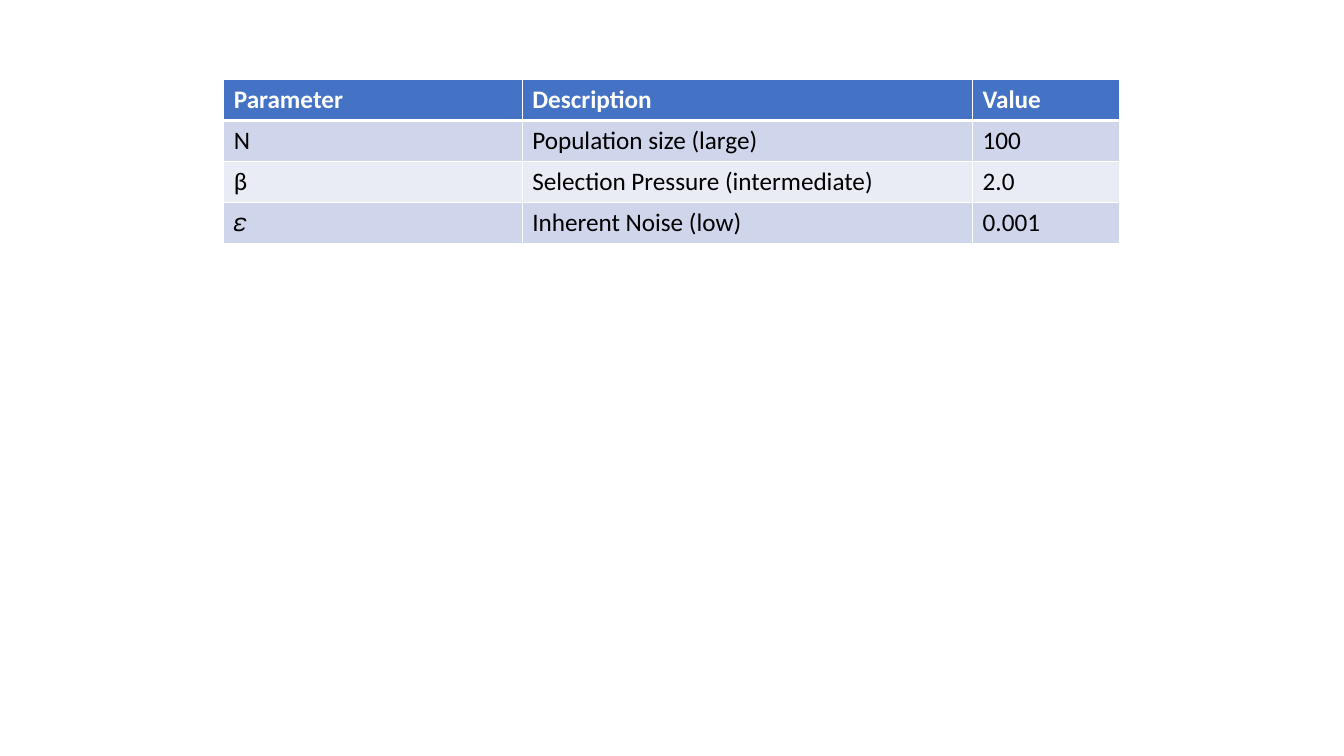
from lxml import etree
from pptx import Presentation
from pptx import util as u
from pptx.dml.color import RGBColor
from pptx.oxml.ns import qn

COLORS = {
    "header": "4472C4",
    "odd_row": "CFD5EA",
    "even_row": "E9EBF5",
    "border": "FFFFFF",
    "header_text": "FFFFFF",
    "body_text": "000000",
}
FONT = "Calibri"
COLUMN_WIDTHS = [7.52, 11.35, 3.71]
ROW_HEIGHT = 1.03
ROWS = [
    ["Parameter", "Description", "Value"],
    ["N", "Population size (large)", "100"],
    ["β", "Selection Pressure (intermediate)", "2.0"],
    ["\U0001D700", "Inherent Noise (low)", "0.001"],
]


def set_borders(cell, widths):
    properties = cell._tc.get_or_add_tcPr()
    for side, width in widths.items():
        line = etree.SubElement(properties, qn(f"a:ln{side}"), w=str(u.Pt(width)))
        fill = etree.SubElement(line, qn("a:solidFill"))
        etree.SubElement(fill, qn("a:srgbClr"), val=COLORS["border"])


def format_cell(cell, words, fill, color, bold):
    cell.fill.solid()
    cell.fill.fore_color.rgb = RGBColor.from_string(COLORS[fill])
    cell.text_frame.text = words
    font = cell.text_frame.paragraphs[0].runs[0].font
    font.name = FONT
    font.size = u.Pt(18)
    font.bold = bold
    font.color.rgb = RGBColor.from_string(COLORS[color])


def add_parameter_table(slide, left, top):
    frame = slide.shapes.add_table(
        len(ROWS), len(COLUMN_WIDTHS), u.Cm(left), u.Cm(top),
        u.Cm(sum(COLUMN_WIDTHS)), u.Cm(ROW_HEIGHT * len(ROWS)),
    )
    table = frame.table
    for column, width in zip(table.columns, COLUMN_WIDTHS):
        column.width = u.Cm(width)
    for index, row in enumerate(table.rows):
        row.height = u.Cm(ROW_HEIGHT)
        header = index == 0
        fill = "header" if header else "odd_row" if index % 2 else "even_row"
        color = "header_text" if header else "body_text"
        widths = {"L": 1, "R": 1, "T": 3 if index == 1 else 1, "B": 3 if header else 1}
        for cell, words in zip(row.cells, ROWS[index]):
            set_borders(cell, widths)
            format_cell(cell, words, fill, color, header)


def main():
    deck = Presentation()
    deck.slide_width = u.Cm(33.87)
    deck.slide_height = u.Cm(19.05)
    slide = deck.slides.add_slide(deck.slide_layouts[6])
    add_parameter_table(slide, 5.64, 2.01)
    deck.save("out.pptx")


main()
